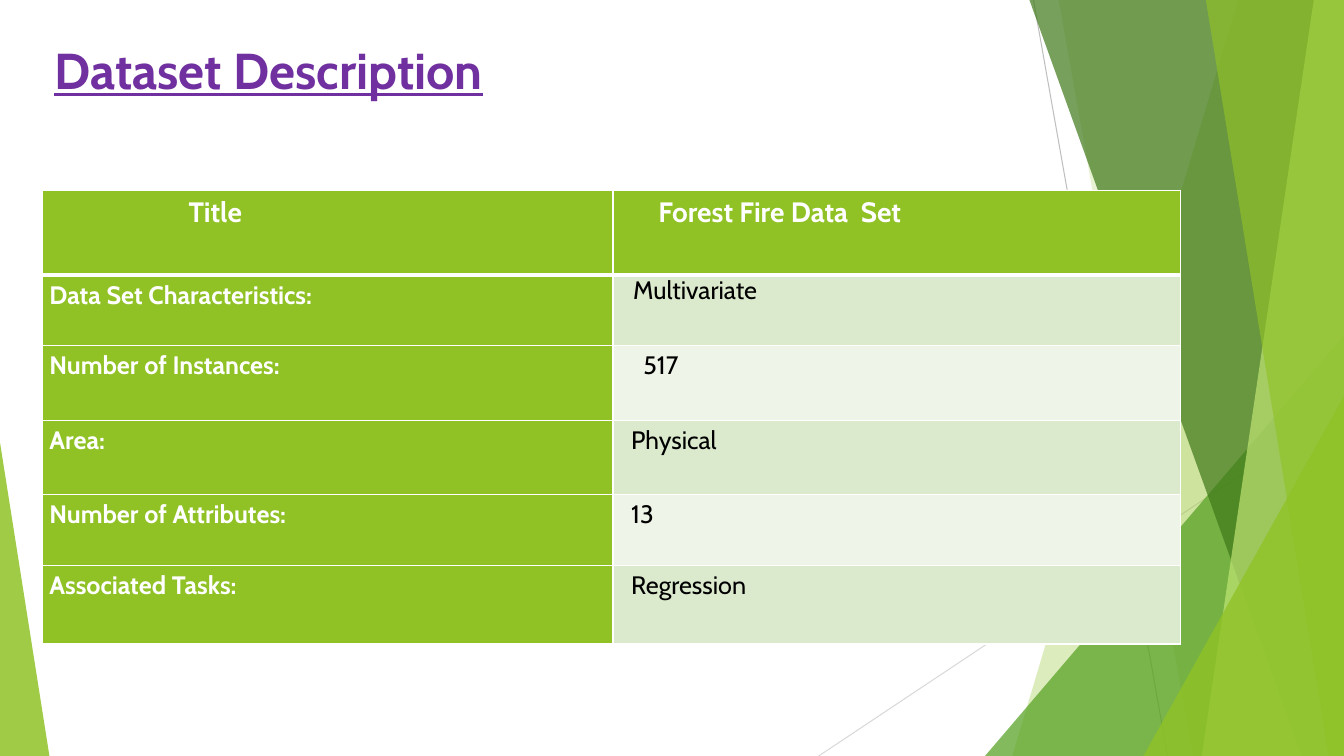
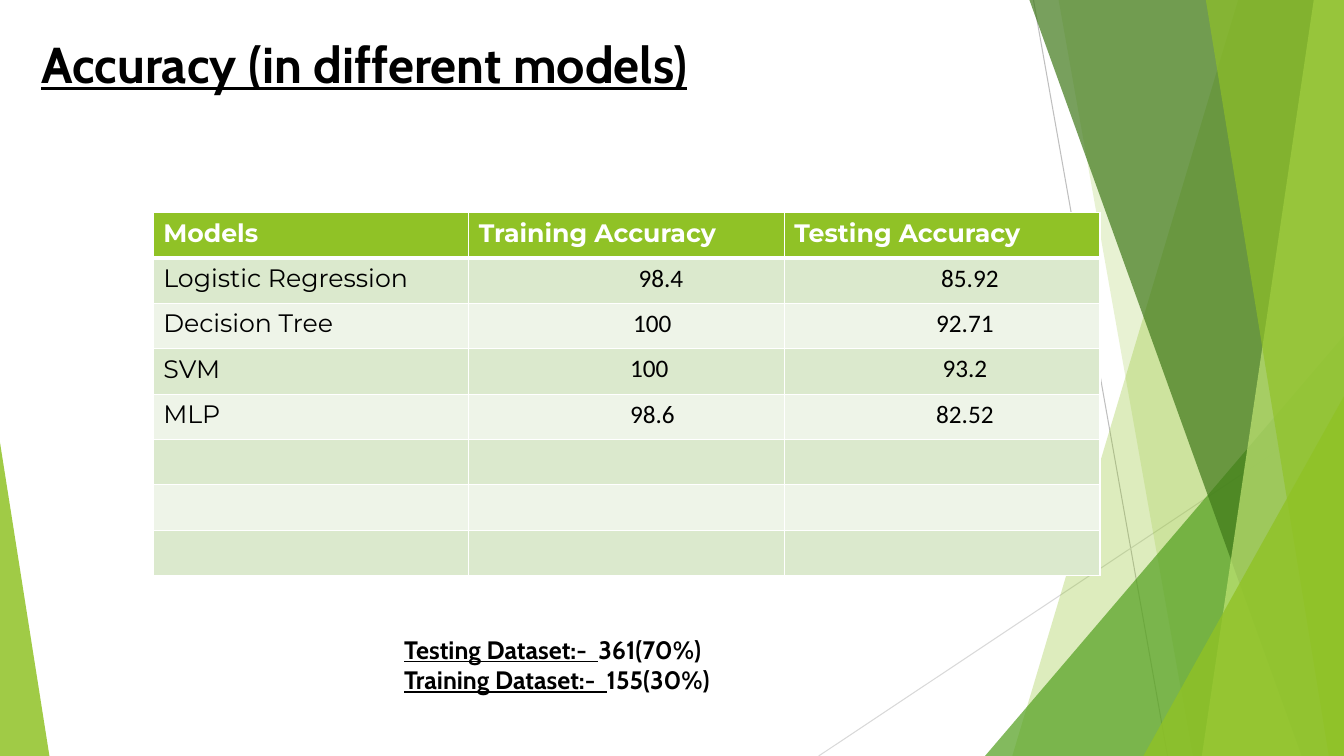
import pptx
import pptx.dml.color
import pptx.enum.shapes
import pptx.enum.text
import pptx.oxml
import pptx.oxml.ns
import pptx.util

SCALE = 9144
WIDTH, HEIGHT = 1333, 750
LIME, LEAF, FOREST, PALE = "90C226", "54A021", "3F7819", "C0E474"
WHITE, BLACK, PURPLE = "FFFFFF", "000000", "7030A0"
BANDS = ("DBE9CD", "EEF4E8")
LEFT, CENTER = pptx.enum.text.PP_ALIGN.LEFT, pptx.enum.text.PP_ALIGN.CENTER
RAYS = [((1025, 0), (1158, 750), "BFBFBF"), ((1333, 403), (812, 750), "D9D9D9")]
SHARDS = [
    ("blade", (1228, 1004), LIME, 30),
    ("blade", (1050, 1183), LIME, 20),
    ("wedge", (977, 333, 356, 417, 1), LEAF, 72),
    ("blade", (1021, 1291), FOREST, 70),
    ("blade", (1303, 1192), PALE, 70),
    ("blade", (1196, 1318), LIME, 65),
    ("wedge", (1134, 393, 199, 357, 1), LIME, 80),
    ("wedge", (0, 439, 49, 311, 0), LIME, 85),
]


def px(value):
    return pptx.util.Emu(value * SCALE)


def rgb(value):
    return pptx.dml.color.RGBColor.from_string(value)


class Deck:
    def __init__(self):
        self.show = pptx.Presentation()
        self.show.slide_width, self.show.slide_height = px(WIDTH), px(HEIGHT)
        self.slide = None

    def start(self, title, left, top, color):
        self.slide = self.show.slides.add_slide(self.show.slide_layouts[5])
        for begin, end, shade in RAYS:
            self.ray(begin, end, shade)
        for kind, geometry, shade, opacity in SHARDS:
            shard = getattr(self, kind)(*geometry)
            self.tint(shard, shade, opacity)
        heading = self.slide.shapes.title
        heading.left, heading.top = px(left), px(top)
        heading.width, heading.height = px(940), px(93)
        frame = heading.text_frame
        frame.auto_size = pptx.enum.text.MSO_AUTO_SIZE.NONE
        frame.vertical_anchor = pptx.enum.text.MSO_ANCHOR.TOP
        frame.text = title
        self.style(frame.paragraphs[0], 36, "Cabin", color, True)
        frame.paragraphs[0].font.underline = True

    def style(self, paragraph, size, face, color, bold=False, align=LEFT):
        paragraph.alignment = align
        font = paragraph.font
        font.size, font.name, font.bold = pptx.util.Pt(size), face, bold
        font.color.rgb = rgb(color)

    def ray(self, begin, end, color):
        line = self.slide.shapes.add_connector(
            pptx.enum.shapes.MSO_CONNECTOR.STRAIGHT, *map(px, begin + end))
        line.line.color.rgb = rgb(color)
        line.line.width = pptx.util.Pt(0.75)
        pptx.oxml.ns.qn("a:effectLst")
        line._element.spPr.append(pptx.oxml.parse_xml(
            f'<a:effectLst {pptx.oxml.ns.nsdecls("a")}/>'))

    def blade(self, top_left, bottom_left):
        builder = self.slide.shapes.build_freeform(top_left, 0, SCALE)
        builder.add_line_segments(
            [(WIDTH, 0), (WIDTH, HEIGHT), (bottom_left, HEIGHT)], close=True)
        return builder.convert_to_shape()

    def wedge(self, left, top, width, height, apex):
        triangle = self.slide.shapes.add_shape(
            pptx.enum.shapes.MSO_SHAPE.ISOSCELES_TRIANGLE,
            *map(px, (left, top, width, height)))
        triangle.adjustments[0] = apex
        return triangle

    def tint(self, shape, color, opacity):
        shape.shadow.inherit = False
        shape.line.fill.background()
        shape.fill.solid()
        shape.fill.fore_color.rgb = rgb(color)
        tone = shape._element.spPr.find(".//" + pptx.oxml.ns.qn("a:srgbClr"))
        tone.append(pptx.oxml.parse_xml(
            f'<a:alpha {pptx.oxml.ns.nsdecls("a")} val="{opacity * 1000}"/>'))

    def table(self, left, top, columns, rows):
        grid = self.slide.shapes.add_table(
            len(rows), len(columns), px(left), px(top),
            px(sum(columns)), px(sum(rows))).table
        grid.horz_banding = False
        for column, width in zip(grid.columns, columns):
            column.width = px(width)
        for row, height in zip(grid.rows, rows):
            row.height = px(height)
        return grid

    def cell(self, grid, row, column, text, face, size=18, key=False,
             indent=10, inset=(10, 5), align=LEFT, spacing=None):
        cell = grid.cell(row, column)
        cell.margin_left, cell.margin_right = px(indent), px(inset[0])
        cell.margin_top = cell.margin_bottom = px(inset[1])
        cell.fill.solid()
        cell.fill.fore_color.rgb = rgb(LIME if key else BANDS[(row + 1) % 2])
        cell.text = text
        paragraph = cell.text_frame.paragraphs[0]
        self.style(paragraph, size, face, WHITE if key else BLACK, key, align)
        if spacing:
            paragraph.line_spacing = spacing
        weights = {"L": 1, "R": 1, "T": 3 if row == 1 else 1, "B": 3 if row == 0 else 1}
        for position, (side, points) in enumerate(weights.items()):
            cell._tc.get_or_add_tcPr().insert(position, pptx.oxml.parse_xml(
                f'<a:ln{side} {pptx.oxml.ns.nsdecls("a")} w="{points * 12700}">'
                f'<a:solidFill><a:srgbClr val="{WHITE}"/></a:solidFill></a:ln{side}>'))

    def facts(self, left, top, width, height, lines):
        frame = self.slide.shapes.add_textbox(
            *map(px, (left, top, width, height))).text_frame
        frame.word_wrap = True
        for number, (label, value) in enumerate(lines):
            paragraph = frame.add_paragraph() if number else frame.paragraphs[0]
            self.style(paragraph, 18, "Cabin", BLACK, True)
            for words, underlined in ((label, True), (value, False)):
                run = paragraph.add_run()
                run.text = words
                run.font.underline = underlined


def dataset_slide(deck):
    deck.start("Dataset Description", 44, 34, PURPLE)
    description = [
        ("Title", "Forest Fire Data  Set", 45, 84),
        ("Data Set Characteristics:", "Multivariate", 20, 70),
        ("Number of Instances:", "517", 30, 74),
        ("Area:", "Physical", 18, 74),
        ("Number of Attributes:", "13", 18, 70),
        ("Associated Tasks:", "Regression", 18, 78),
    ]
    grid = deck.table(42, 189, [566, 563], [entry[3] for entry in description])
    for row, (label, value, indent, _) in enumerate(description):
        size = 18 if row else 20
        deck.cell(grid, row, 0, label, "Cabin", size, True,
                  7 if row else 145, (7, 0), spacing=1.15)
        deck.cell(grid, row, 1, value, "Cabin", size, row == 0,
                  indent, (7, 0), spacing=None if row == 1 else 1.15)


def accuracy_slide(deck):
    deck.start("Accuracy (in different models)", 31, 28, BLACK)
    headings = ["Models", "Training Accuracy", "Testing Accuracy"]
    scores = [
        ("Logistic Regression", ("98.4", 78), ("85.92", 65)),
        ("Decision Tree", ("100", 61), ("92.71", 55)),
        ("SVM", ("100", 55), ("93.2", 55)),
        ("MLP", ("98.6", 61), ("82.52", 55)),
    ] + [("", ("", 10), ("", 10))] * 3
    grid = deck.table(152, 211, [313] * 3, [45] + [45] * len(scores))
    for column, heading in enumerate(headings):
        deck.cell(grid, 0, column, heading, "Montserrat", key=True)
    for row, (model, *results) in enumerate(scores, 1):
        deck.cell(grid, row, 0, model, "Montserrat")
        for column, (score, indent) in enumerate(results, 1):
            deck.cell(grid, row, column, score, "Calibri", indent=indent, align=CENTER)
    deck.facts(391, 624, 560, 71, [
        ("Testing Dataset:-  ", "361(70%)"),
        ("Training Dataset:-  ", "155(30%)"),
    ])


def main():
    deck = Deck()
    dataset_slide(deck)
    accuracy_slide(deck)
    deck.show.save("out.pptx")


if __name__ == "__main__":
    main()
